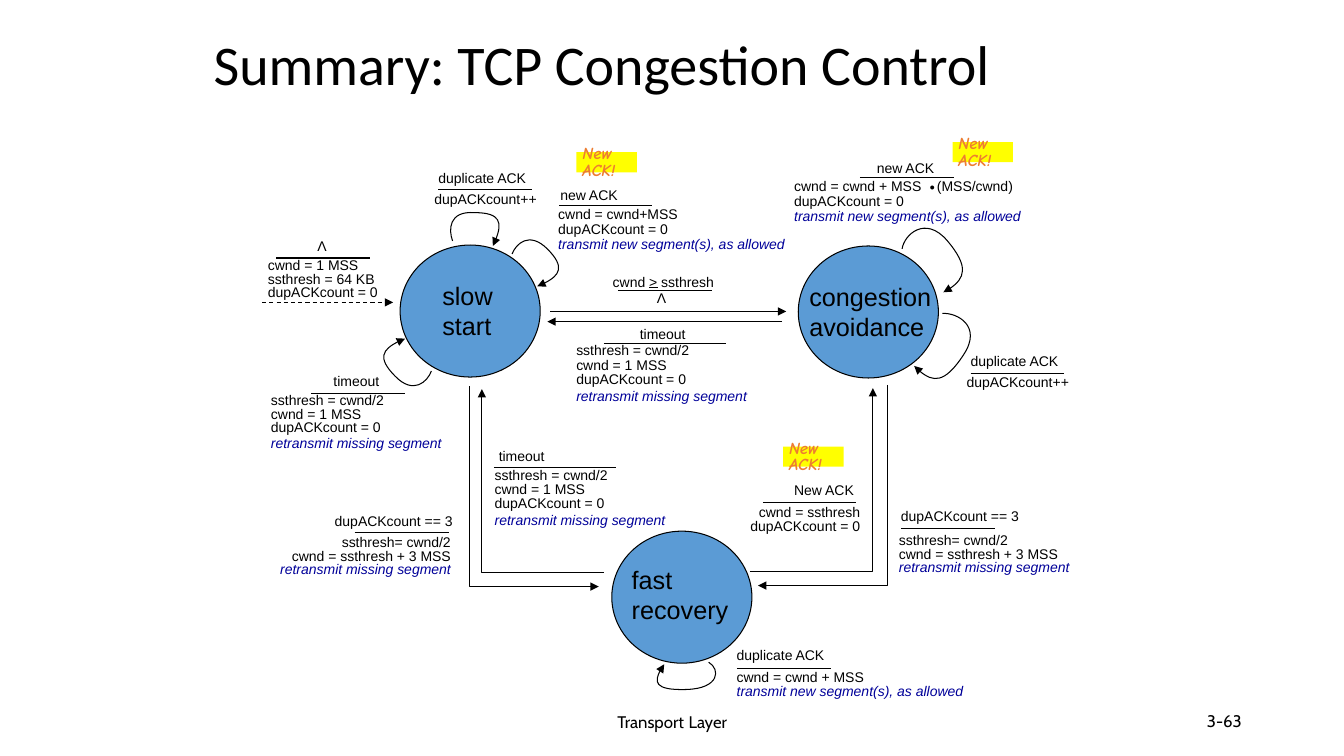
"""Build a slide with the TCP congestion control state machine."""
from collections import namedtuple
from dataclasses import dataclass

from lxml.etree import SubElement
from pptx import Presentation
from pptx.dml.color import RGBColor
from pptx.enum.dml import MSO_LINE
from pptx.enum.shapes import MSO_CONNECTOR, MSO_SHAPE
from pptx.enum.text import MSO_ANCHOR as Anchor, MSO_AUTO_SIZE as Fit, PP_ALIGN as Align
from pptx.oxml.ns import qn
from pptx.util import Pt

Style = namedtuple("Style", "font size color bold italic", defaults=("000000", False, False))


@dataclass(frozen=True)
class Theme:
    ink: str = "000000"
    state: str = "5B9BD5"
    marker: str = "FFFF00"
    stroke: float = 0.75
    title: Style = Style("Calibri", 40)
    footer: Style = Style("Cabin", 12)
    footer_gap: Style = Style("Cabin", 14)
    name: Style = Style("Arial", 18)
    plain: Style = Style("Arial", 10)
    send: Style = Style("Arial", 10, "000099", False, True)
    strut: Style = Style("Arial", 12)
    dot: Style = Style("Times New Roman", 24)
    badge: Style = Style("Comic Neue", 12, "ED7D31", True, True)


theme = Theme()
deck = Presentation()
deck.slide_width, deck.slide_height = Pt(960), Pt(540)
page = deck.slides.add_slide(deck.slide_layouts[6])


def write(left, top, width, height, lines, spacing=None, align=Align.LEFT,
          wrap=False, fit=Fit.SHAPE_TO_FIT_TEXT, anchor=Anchor.TOP):
    box = page.shapes.add_textbox(Pt(left), Pt(top), Pt(width), Pt(height))
    frame = box.text_frame
    frame.word_wrap, frame.auto_size, frame.vertical_anchor = wrap, fit, anchor
    for index, line in enumerate(lines):
        para = frame.add_paragraph() if index else frame.paragraphs[0]
        if any("\t" in text for text, style in line):
            stops = SubElement(para._p.get_or_add_pPr(), qn("a:tabLst"))
            SubElement(stops, qn("a:tab"), pos=str(Pt(102)), algn="l")
        para.alignment, para.line_spacing = align, spacing
        for text, style in line:
            span = para.add_run()
            span.text = text
            span.font.name, span.font.size = style.font, Pt(style.size)
            span.font.bold, span.font.italic = style.bold, style.italic
            span.font.color.rgb = RGBColor.from_string(style.color)


def draw(shape, arrow=False, dash=None):
    shape.line.color.rgb = RGBColor.from_string(theme.ink)
    shape.line.width = Pt(theme.stroke)
    if dash:
        shape.line.dash_style = dash
    if arrow:
        SubElement(shape.line._get_or_add_ln(), qn("a:tailEnd"), type="triangle")
    SubElement(shape.element.spPr, qn("a:effectLst"))


write(145.5, 14.4, 612, 67.7, [[("Summary: TCP Congestion Control", theme.title)]],
      0.9, wrap=True, fit=Fit.NONE, anchor=Anchor.MIDDLE)
write(318.2, 500.4, 324, 28.8,
      [[("Transport", theme.footer), (" ", theme.footer_gap), ("Layer", theme.footer)]],
      align=Align.CENTER, wrap=True, fit=Fit.NONE, anchor=Anchor.MIDDLE)
write(678.2, 500.4, 216, 28.8, [[("3-63", theme.footer)]],
      align=Align.RIGHT, wrap=True, fit=Fit.NONE, anchor=Anchor.MIDDLE)

states = [
    (285.8, 175, 308.9, 196.6, 55.4, ("slow", "start")),
    (570.2, 175.7, 571, 197.3, 101.5, ("congestion", "avoidance")),
    (437, 379.4, 444.2, 399.6, 88.6, ("fast", "recovery")),
]
for left, top, name_left, name_top, name_width, words in states:
    circle = page.shapes.add_shape(MSO_SHAPE.OVAL, Pt(left), Pt(top), Pt(100.1), Pt(94.3))
    circle.fill.solid()
    circle.fill.fore_color.rgb = RGBColor.from_string(theme.state)
    draw(circle)
    write(name_left, name_top, name_width, 50.4, [[(word, theme.name)] for word in words])

count_reset = [("dupACKcount = 0", theme.plain)]
count_up = [[("dupACKcount++", theme.plain)]]
one_segment = [("cwnd = 1 MSS", theme.plain)]
send_new = [("transmit new segment(s), as allowed", theme.send)]
resend = ("retransmit missing segment", theme.send)
empty = [[("Λ", theme.plain)]]
after_timeout = [[("ssthresh = cwnd/2", theme.plain)], one_segment, count_reset,
                 [resend, (" ", theme.strut)]]
after_triple = [[("ssthresh= cwnd/2", theme.plain)],
                [("cwnd = ssthresh + 3 MSS", theme.plain)], [resend]]
start_up = [one_segment, [("ssthresh = 64 KB", theme.plain)], count_reset]
grow_fast = [[("cwnd = cwnd+MSS", theme.plain)], count_reset, send_new]
grow_slow = [[("cwnd = cwnd + MSS\t(MSS/cwnd)", theme.plain)], count_reset, send_new]
inflate = [[("cwnd = cwnd + MSS", theme.plain)], send_new]
deflate = [[("cwnd = ssthresh", theme.plain)], count_reset]

transitions = [
    ("Λ", (219.6, 166.3, 21.6), (197.3, 264.2, 184.3), (184.3, 182.2, 92.9, 36), start_up, 0.8),
    ("duplicate ACK", (306, 117.4, 77.8), (313.2, 380.2, 135.4),
     (303.1, 134.6, 87.8, 28.1), count_up, 0.8),
    ("new ACK", (393.1, 129.6, 56.2), (399.6, 465.8, 146.9),
     (391.7, 144.7, 177.8, 51.8), grow_fast, 0.9),
    ("timeout", (231.1, 262.8, 52), (222.5, 289.4, 280.8),
     (186.5, 278.6, 139.7, 47.5), after_timeout, 0.8),
    ("cwnd > ssthresh", (430.6, 191.5, 86.4), (441.4, 508.3, 207.4),
     (462.2, 205.9, 21.6, 16.6), empty, 0.8),
    ("timeout", (450, 229, 52), (431.3, 518.4, 245.5),
     (404.6, 242.6, 139.7, 50.4), after_timeout, 0.85),
    ("new ACK", (619.2, 110.2, 56.2), (614.2, 681.1, 126.7),
     (560.2, 124.6, 177.8, 51.8), grow_slow, 0.9),
    ("duplicate ACK", (686.2, 248.4, 77.8), (693.4, 760.3, 267.1),
     (683.3, 265.7, 87.8, 28.1), count_up, 0.8),
    ("dupACKcount == 3", (231.8, 362.2, 98.6), (253.4, 320.4, 380.2),
     (191.5, 380.2, 137.5, 48.2), after_triple, 0.8, Align.RIGHT),
    ("timeout", (349.2, 316.1, 52), (352.8, 439.9, 334.1),
     (346.3, 331.2, 141.1, 50.4), after_timeout, 0.85),
    ("New ACK", (559.4, 340.6, 57.6), (545, 611.3, 358.6),
     (528.5, 358.6, 92.9, 47.5), deflate, 0.8, Align.RIGHT),
    ("dupACKcount == 3", (636.5, 359.3, 98.6), (643.7, 710.6, 377.3),
     (635, 378.7, 140.4, 48.2), after_triple, 0.8),
    ("duplicate ACK", (519.1, 458.6, 77.8), (526.3, 593.3, 477.4),
     (519.1, 475.9, 176.4, 39.6), inflate, 0.85),
]
straight = [
    (558.7, 391, 229.7, True, None),
    (393.1, 561.6, 222.5, True, None),
    (187.2, 280.8, 216, True, MSO_LINE.DASH),
    (463.7, 470.2, 205.2, False, None),
]
for event, event_place, rule, action_place, action, *layout in transitions:
    write(*event_place, 19.4, [[(event, theme.plain)]], None, *layout[1:])
    write(*action_place, action, *layout)
    straight.append((*rule, False, None))
write(655.9, 108, 20.2, 36, [[(".", theme.dot)]])

for start, end, level, arrow, dash in straight:
    line = page.shapes.add_connector(
        MSO_CONNECTOR.STRAIGHT, Pt(start), Pt(level), Pt(end), Pt(level))
    draw(line, arrow, dash)

elbows = [
    [(335.5, 275.8), (335.5, 419), (427.7, 419)],
    [(431.3, 409), (344.2, 409), (344.2, 277.9)],
    [(633.6, 275), (633.6, 418.3), (541.4, 418.3)],
    [(535.7, 408.2), (623.5, 408.2), (623.5, 277.2)],
]
loops = [
    [(323.3, 172.1), (320.4, 164.2), (320.4, 150.5), (339.1, 151.9),
     (357.8, 151.9), (359.3, 161.3), (352.1, 175.7)],
    [(365.8, 181.4), (368.6, 174.2), (378, 164.9), (391, 177.8),
     (403.9, 190.8), (398.9, 198.7), (383.8, 204.5)],
    [(308.2, 265), (305.3, 272.9), (295.2, 282.2), (282.2, 268.6),
     (269.3, 255.6), (274.3, 247.7), (289.4, 241.9)],
    [(644.4, 177.8), (645.8, 167.8), (661, 153.4), (676.8, 172.1),
     (692.6, 190.8), (688.3, 201.6), (673.9, 208.8)],
    [(673.2, 223.9), (683.3, 223.2), (702, 232.6), (688.3, 253.4),
     (674.6, 274.3), (663.8, 272.9), (653, 261.4)],
    [(506.2, 473), (514.8, 478.1), (514.1, 491.8), (490.3, 492.5),
     (466.6, 493.2), (467.3, 483.8), (474.5, 474.5)],
]
for points in elbows + loops:
    first, *rest = [(Pt(x), Pt(y)) for x, y in points]
    builder = page.shapes.build_freeform(*first)
    builder.add_line_segments(rest, close=False)
    route = builder.convert_to_shape()
    route.fill.background()
    draw(route, arrow=True)
    if points in loops:
        outline = route.element.find(".//" + qn("a:path"))
        corners = outline.findall(qn("a:lnTo"))
        for half in (corners[:3], corners[3:]):
            curve = SubElement(outline, qn("a:cubicBezTo"))
            for corner in half:
                curve.append(corner[0])
                outline.remove(corner)

for left, top in [(559.4, 319), (411.8, 108.7), (680.4, 101.5)]:
    marker = page.shapes.add_shape(MSO_SHAPE.RECTANGLE, Pt(left), Pt(top), Pt(43.2), Pt(14.4))
    marker.shadow.inherit = False
    marker.fill.solid()
    marker.fill.fore_color.rgb = RGBColor.from_string(theme.marker)
    marker.line.fill.background()
    write(left - 2.9, top - 7.2, 49.7, 30.2,
          [[("New", theme.badge)], [("ACK!", theme.badge)]], 0.8, wrap=True)

deck.save("out.pptx")
